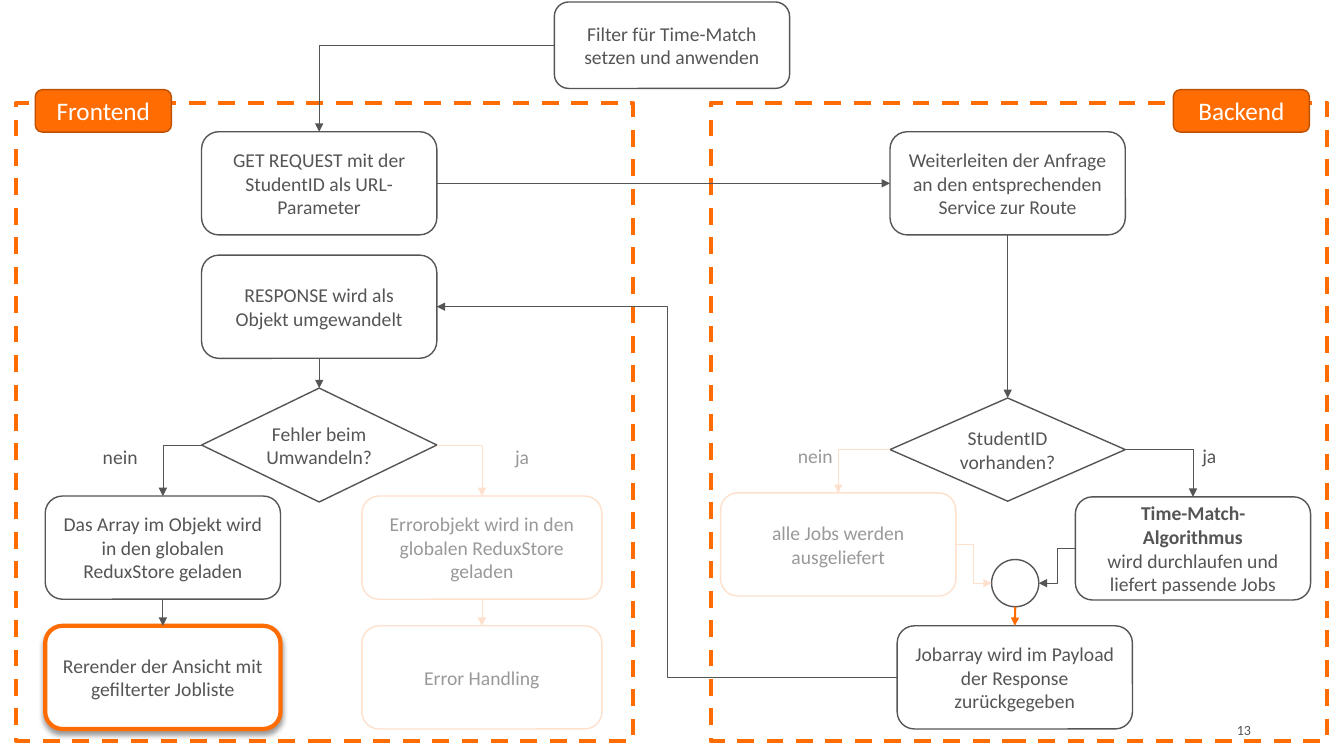
"""Build the flowchart of the time-match request between frontend and backend."""
from lxml.etree import SubElement
from pptx import Presentation
from pptx.dml.color import RGBColor
from pptx.enum.dml import MSO_LINE
from pptx.enum.shapes import MSO_CONNECTOR as CONN, MSO_SHAPE as SHAPE
from pptx.enum.text import MSO_ANCHOR as ANCHOR, PP_ALIGN as ALIGN
from pptx.oxml import parse_xml
from pptx.oxml.ns import nsdecls, qn
from pptx.util import Cm, Pt

GREY = RGBColor(0x55, 0x55, 0x55)
PALE_GREY = RGBColor(0x99, 0x99, 0x99)
ORANGE = RGBColor(0xFF, 0x6C, 0x02)
DARK_ORANGE = RGBColor(0xBD, 0x50, 0x01)
PALE_ORANGE = RGBColor(0xFE, 0xE1, 0xCC)
WHITE = RGBColor(0xFF, 0xFF, 0xFF)
FONT = "Calibri"
TOP, LEFT, BOTTOM, RIGHT = range(4)
BOX_W, BOX_H = 5.93, 2.6
ERROR_W = 6.05

prs = Presentation()
prs.slide_width, prs.slide_height = Cm(33.87), Cm(19.05)
s = prs.slides.add_slide(prs.slide_layouts[6])


def add_box(x, y, text, w=BOX_W, h=BOX_H, kind=SHAPE.ROUNDED_RECTANGLE,
            fill=WHITE, line=GREY, color=GREY, size=14, width=1, margin=0.25):
    sp = s.shapes.add_shape(kind, Cm(x), Cm(y), Cm(w), Cm(h))
    sp.shadow.inherit = False
    if fill is None:
        sp.fill.background()
    else:
        sp.fill.solid()
        sp.fill.fore_color.rgb = fill
    sp.line.color.rgb = line
    sp.line.width = Pt(width)
    tf = sp.text_frame
    tf.word_wrap = True
    tf.vertical_anchor = ANCHOR.MIDDLE
    tf.margin_left = tf.margin_right = Cm(margin)
    p = tf.paragraphs[0]
    p.alignment = ALIGN.CENTER
    if text:
        r = p.add_run()
        r.text = text
        r.font.name, r.font.size, r.font.color.rgb = FONT, Pt(size), color
    return sp


def add_arrow(start, start_side, end, end_side, color=GREY, width=0.5):
    ends = []
    for sp, side in ((start, start_side), (end, end_side)):
        dx = {LEFT: 0, RIGHT: sp.width}.get(side, sp.width // 2)
        dy = {TOP: 0, BOTTOM: sp.height}.get(side, sp.height // 2)
        ends += [sp.left + dx, sp.top + dy]
    turns = start_side in (LEFT, RIGHT) and end_side == TOP
    straight = start_side == BOTTOM or (start_side, end_side) == (RIGHT, LEFT) and end is not circle
    c = s.shapes.add_connector(CONN.STRAIGHT if straight else CONN.ELBOW, *ends)
    if start is not circle:
        c.begin_connect(start, start_side)
    if end is not circle:
        c.end_connect(end, end_side)
    c.line.color.rgb = color
    c.line.width = Pt(width)
    sp_pr = c._element.spPr
    if turns:
        sp_pr.find(qn("a:prstGeom")).set("prst", "bentConnector2")
    SubElement(sp_pr.find(qn("a:ln")), qn("a:tailEnd"), type="triangle")
    SubElement(sp_pr, qn("a:effectLst"))


for frame_x, badge_x, name in ((0.41, 0.89, "Frontend"), (17.91, 29.57, "Backend")):
    frame = add_box(frame_x, 2.59, "", 15.54, 16.08, SHAPE.RECTANGLE, None, ORANGE, width=3)
    frame.line.dash_style = MSO_LINE.DASH
    add_box(badge_x, 2.26, name, 3.43, 1.07, fill=ORANGE, line=DARK_ORANGE,
            color=WHITE, size=18)

pale = {"line": PALE_ORANGE, "color": PALE_GREY}
filters = add_box(13.97, 0.05, "Filter für Time-Match setzen und anwenden", h=2.18)
request = add_box(5.08, 3.32, "GET REQUEST mit der StudentID als URL-Parameter")
response = add_box(5.08, 6.43, "RESPONSE wird als Objekt umgewandelt")
failed = add_box(5.08, 9.78, "Fehler beim Umwandeln?", h=2.87, kind=SHAPE.DIAMOND, margin=0)
store = add_box(1.14, 12.5, "Das Array im Objekt wird in den globalen ReduxStore geladen")
error = add_box(9.12, 12.5, "Errorobjekt wird in den globalen ReduxStore geladen", ERROR_W, **pale)
handling = add_box(9.12, 15.77, "Error Handling", ERROR_W, **pale)
rerender = add_box(1.14, 15.77, "Rerender der Ansicht mit gefilterter Jobliste", line=ORANGE, width=3)
service = add_box(22.43, 3.32, "Weiterleiten der Anfrage an den entsprechenden Service zur Route")
known = add_box(22.43, 10.03, "StudentID vorhanden?", kind=SHAPE.DIAMOND)
algorithm = add_box(27.1, 12.52, "Time-Match-Algorithmus", margin=0.4)
all_jobs = add_box(18.16, 12.42, "alle Jobs werden ausgeliefert", **pale)
circle = add_box(24.99, 14.1, "", 1.19, 1.19, SHAPE.OVAL)
payload = add_box(22.61, 15.77, "Jobarray wird im Payload der Response zurückgegeben")

p = algorithm.text_frame.paragraphs[0]
p.runs[0].font.bold = True
p.add_line_break()
r = p.add_run()
r.text = "wird durchlaufen und liefert passende Jobs"
r.font.name, r.font.size, r.font.color.rgb = FONT, Pt(14), GREY

effects = rerender._element.spPr.find(qn("a:effectLst"))
effects.append(parse_xml(
    f'<a:outerShdw {nsdecls("a")} blurRad="{Pt(4)}" dist="{Pt(3)}" dir="5400000" rotWithShape="0">'
    '<a:srgbClr val="000000"><a:alpha val="40000"/></a:srgbClr></a:outerShdw>'))

for link in (
    (filters, LEFT, request, TOP),
    (request, RIGHT, service, LEFT),
    (response, BOTTOM, failed, TOP),
    (failed, LEFT, store, TOP),
    (failed, RIGHT, error, TOP, PALE_ORANGE),
    (store, BOTTOM, rerender, TOP),
    (error, BOTTOM, handling, TOP, PALE_ORANGE),
    (service, BOTTOM, known, TOP),
    (known, LEFT, all_jobs, TOP, PALE_ORANGE),
    (known, RIGHT, algorithm, TOP),
    (all_jobs, RIGHT, circle, LEFT, PALE_ORANGE),
    (algorithm, LEFT, circle, RIGHT),
    (circle, BOTTOM, payload, TOP, ORANGE, 1.5),
    (payload, LEFT, response, RIGHT),
):
    add_arrow(*link)

for x, y, w, h, text, size, color, align in (
    (2.34, 11.07, 1.73, 0.86, "nein", 14, GREY, ALIGN.LEFT),
    (12.73, 11.07, 1.73, 0.86, "ja", 14, PALE_GREY, ALIGN.LEFT),
    (19.86, 11.05, 1.73, 0.86, "nein", 14, PALE_GREY, ALIGN.LEFT),
    (30.05, 11.05, 1.73, 0.86, "ja", 14, GREY, ALIGN.LEFT),
    (28.85, 17.73, 5, 1.32, "13", 10, GREY, ALIGN.CENTER),
):
    tf = s.shapes.add_textbox(Cm(x), Cm(y), Cm(w), Cm(h)).text_frame
    tf.word_wrap = True
    tf.vertical_anchor = ANCHOR.MIDDLE
    p = tf.paragraphs[0]
    p.alignment = align
    r = p.add_run()
    r.text = text
    r.font.name, r.font.size, r.font.color.rgb = FONT, Pt(size), color

prs.save("out.pptx")
